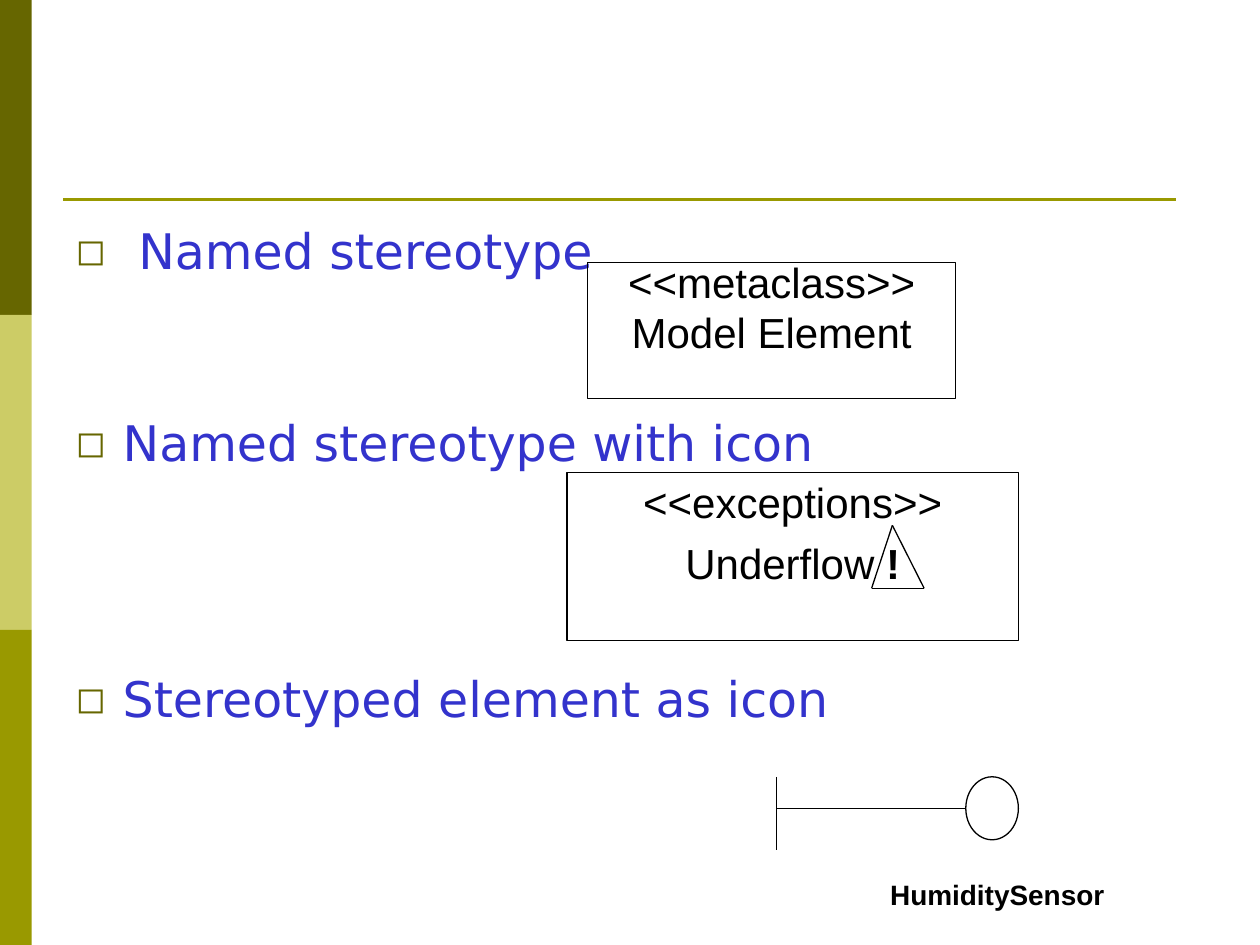
import lxml.etree
import pptx
import pptx.dml.color
import pptx.enum.shapes
import pptx.enum.text
import pptx.oxml.ns
import pptx.util
from pptx.util import Cm, Pt

RGBColor = pptx.dml.color.RGBColor
BLACK = RGBColor(0x00, 0x00, 0x00)
BLUE = RGBColor(0x33, 0x33, 0xCC)
DARK_OLIVE = RGBColor(0x66, 0x66, 0x00)
LIGHT_OLIVE = RGBColor(0xCC, 0xCC, 0x66)
OLIVE = RGBColor(0x99, 0x99, 0x00)

SHAPES = pptx.enum.shapes.MSO_SHAPE
TEXT = pptx.enum.text


def add_child(parent, tag, **attributes):
    child = lxml.etree.SubElement(parent, pptx.oxml.ns.qn(tag))
    for name, value in attributes.items():
        child.set(name, value)
    return child


def add_line(slide, start, end, color=BLACK, width=0.75):
    points = [Cm(value) for value in (*start, *end)]
    line = slide.shapes.add_connector(pptx.enum.shapes.MSO_CONNECTOR.STRAIGHT, *points)
    line.line.color.rgb = color
    line.line.width = Pt(width)
    add_child(line._element.spPr, "a:effectLst")


def add_outline(slide, kind, left, top, width, height):
    shape = slide.shapes.add_shape(kind, Cm(left), Cm(top), Cm(width), Cm(height))
    shape.shadow.inherit = False
    shape.fill.background()
    shape.line.color.rgb = BLACK
    shape.line.width = Pt(0.75)
    return shape


def style_label(paragraph, size, bold=False):
    paragraph.alignment = TEXT.PP_ALIGN.CENTER
    paragraph.font.name = "Arial"
    paragraph.font.size = Pt(size)
    paragraph.font.bold = bold
    paragraph.font.color.rgb = BLACK


def add_frame(slide, left, top, width, height):
    band_height = height / 3
    for index, color in enumerate((DARK_OLIVE, LIGHT_OLIVE, OLIVE)):
        band = slide.shapes.add_shape(
            SHAPES.RECTANGLE, Cm(left), Cm(top + index * band_height),
            Cm(0.64), Cm(band_height))
        band.shadow.inherit = False
        band.fill.solid()
        band.fill.fore_color.rgb = color
        band.line.fill.background()
    rule_top = top + 4.02
    add_line(slide, (left + 1.27, rule_top), (left + width - 1.7, rule_top), OLIVE, 1.5)


def fill_body(body, left, top, width, height):
    body.left, body.top, body.width, body.height = Cm(left), Cm(top), Cm(width), Cm(height)
    frame = body.text_frame
    frame.word_wrap = True
    frame.auto_size = TEXT.MSO_AUTO_SIZE.NONE
    frame.vertical_anchor = TEXT.MSO_ANCHOR.TOP
    items = (
        (" Named stereotype", 7),
        ("Named stereotype with icon", 79.6),
        ("Stereotyped element as icon", 116),
    )
    frame.text = "\n".join(text for text, _ in items)
    for paragraph, (_, gap) in zip(frame.paragraphs, items):
        paragraph.line_spacing = 0.9
        paragraph.space_before = Pt(gap)
        paragraph.font.name = "DejaVu Sans"
        paragraph.font.size = Pt(28)
        paragraph.font.color.rgb = BLUE
        properties = paragraph._p.get_or_add_pPr()
        properties.set("marL", str(Cm(0.95)))
        properties.set("indent", str(-Cm(0.95)))
        bullet = [lxml.etree.Element(pptx.oxml.ns.qn("a:buClr"))]
        add_child(bullet[0], "a:srgbClr", val=str(DARK_OLIVE))
        for tag, name, value in (
            ("a:buSzPct", "val", "75000"),
            ("a:buFont", "typeface", "DejaVu Sans"),
            ("a:buChar", "char", "◻"),
        ):
            element = lxml.etree.Element(pptx.oxml.ns.qn(tag))
            element.set(name, value)
            bullet.append(element)
        properties.find(pptx.oxml.ns.qn("a:spcBef")).addnext(bullet[0])
        for previous, element in zip(bullet, bullet[1:]):
            previous.addnext(element)


def add_class_box(slide, left, top, width, height, stereotype, name):
    box = add_outline(slide, SHAPES.RECTANGLE, left, top, width, height)
    frame = box.text_frame
    frame.word_wrap = False
    frame.vertical_anchor = TEXT.MSO_ANCHOR.MIDDLE
    frame.margin_bottom = Cm(1.1)
    frame.text = f"{stereotype}\n{name}"
    for paragraph in frame.paragraphs:
        style_label(paragraph, 24)
    return frame.paragraphs[1]


def add_exception_box(slide, left, top, width, height):
    name = add_class_box(slide, left, top, width, height, "<<exceptions>>", "Underflow ")
    name.space_before = Pt(6)
    mark = name.add_run()
    mark.text = "!"
    mark.font.bold = True
    apex = (left + 6.56, top + 1.06)
    base_left = (left + 6.14, top + 2.33)
    base_right = (left + 7.2, top + 2.33)
    for start, end in ((apex, base_left), (apex, base_right), (base_left, base_right)):
        add_line(slide, start, end)


def add_sensor(slide, left, top, width, height):
    circle_width, circle_height = 1.06, 1.27
    circle_left = left + width - circle_width
    middle = top + circle_height / 2
    add_line(slide, (left, top), (left, top + height))
    add_line(slide, (left, middle), (circle_left, middle))
    add_outline(slide, SHAPES.OVAL, circle_left, top, circle_width, circle_height)
    label = slide.shapes.add_textbox(Cm(left + 1.48), Cm(top + 1.91), Cm(5.93), Cm(1))
    label.text_frame.word_wrap = True
    label.text_frame.text = "HumiditySensor"
    style_label(label.text_frame.paragraphs[0], 16, bold=True)


def main():
    presentation = pptx.Presentation()
    presentation.slide_width = Cm(25.4)
    presentation.slide_height = Cm(19.05)
    slide = presentation.slides.add_slide(presentation.slide_layouts[1])
    title = slide.shapes.title._element
    title.getparent().remove(title)
    add_frame(slide, 0, 0, 25.4, 19.05)
    fill_body(slide.placeholders[1], 1.27, 4.45, 23.5, 13.77)
    add_class_box(slide, 11.85, 5.29, 7.41, 2.75, "<<metaclass>>", "Model Element")
    add_exception_box(slide, 11.43, 9.53, 9.1, 3.39)
    add_sensor(slide, 15.66, 15.66, 4.87, 1.48)
    presentation.save("out.pptx")


if __name__ == "__main__":
    main()
